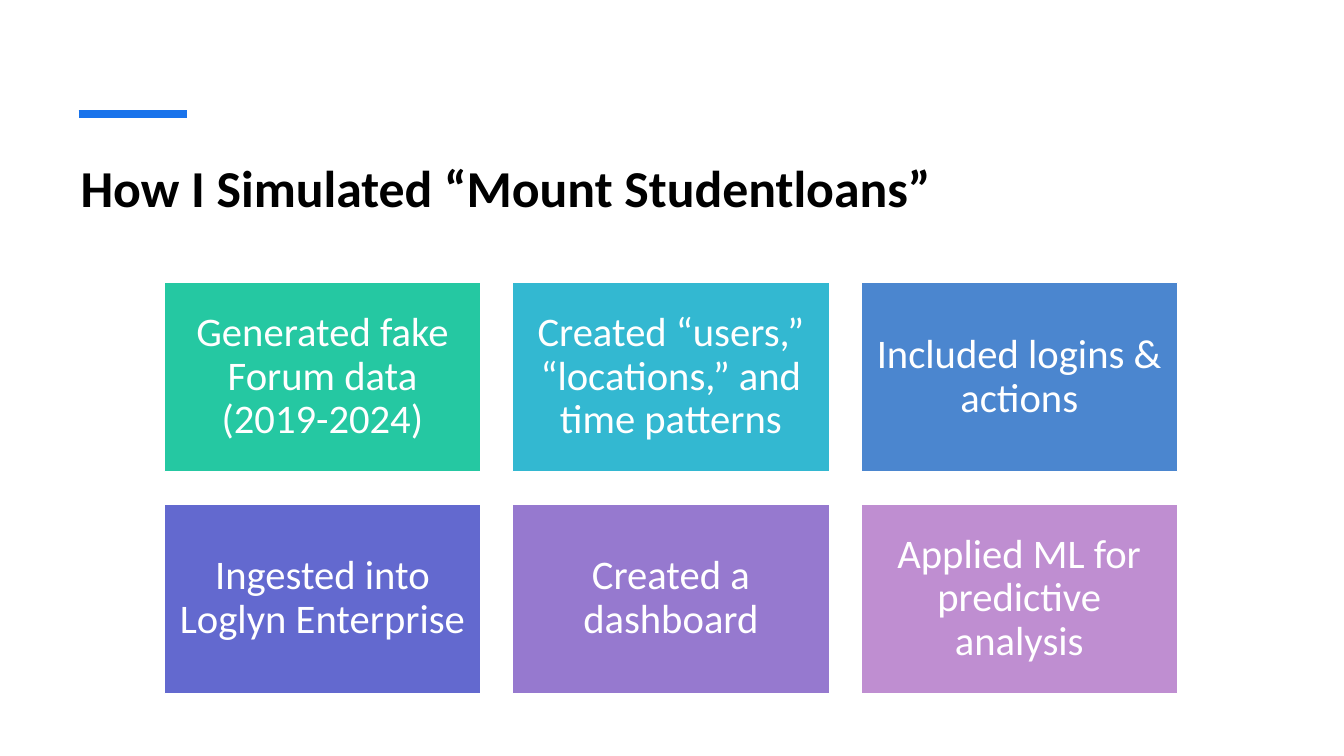
from dataclasses import dataclass

from pptx import Presentation
from pptx.dml.color import RGBColor as RGB
from pptx.enum.shapes import MSO_CONNECTOR as CONN, MSO_SHAPE as SHAPE
from pptx.enum.text import MSO_ANCHOR as ANCHOR, PP_ALIGN as ALIGN
from pptx.oxml.ns import qn
from pptx.slide import Slide
from pptx.text.text import TextFrame
from pptx.util import Inches, Pt
from lxml.etree import SubElement


@dataclass(frozen=True)
class Theme:
    font: str = "Calibri"
    ink: str = "000000"
    white: str = "FFFFFF"
    accent: str = "1973EB"
    title_size: int = 37
    tile_size: int = 29


@dataclass(frozen=True)
class Grid:
    """Tile grid in inches; pitch is the step from one tile to the next."""
    left: float = 1.63
    top: float = 2.8
    width: float = 3.14
    height: float = 1.88
    col_pitch: float = 3.455
    row_pitch: float = 2.2
    columns: int = 3


@dataclass(frozen=True)
class Step:
    text: str
    fill: str


THEME = Theme()
GRID = Grid()
STEPS = [
    Step("Generated fake Forum data\v(2019-2024)", "25C8A2"),
    Step("Created “users,” “locations,” and time patterns", "33B8D1"),
    Step("Included logins & actions", "4B86CF"),
    Step("Ingested into Loglyn Enterprise", "6369CF"),
    Step("Created a dashboard", "9679CF"),
    Step("Applied ML for predictive analysis", "BF8ED1"),
]


def write(tf: TextFrame, text: str, *, size: int, color: str,
          bold: bool = False, align: ALIGN = ALIGN.LEFT,
          anchor: ANCHOR = ANCHOR.TOP, spacing: float = 1.0) -> None:
    tf.word_wrap = True
    tf.vertical_anchor = anchor
    p = tf.paragraphs[0]
    p.text = text
    p.alignment = align
    p.line_spacing = spacing
    for r in p.runs:
        r.font.name = THEME.font
        r.font.size = Pt(size)
        r.font.bold = bold
        r.font.color.rgb = RGB.from_string(color)


def add_title(s: Slide, text: str) -> None:
    box = s.shapes.add_textbox(Inches(0.7), Inches(1.5), Inches(11.91), Inches(1.2))
    write(box.text_frame, text, size=THEME.title_size, color=THEME.ink, bold=True)


def add_accent(s: Slide) -> None:
    y = Inches(1.13)
    line = s.shapes.add_connector(CONN.STRAIGHT, Inches(0.78), y, Inches(1.85), y)
    line.line.color.rgb = RGB.from_string(THEME.accent)
    line.line.width = Pt(6)
    SubElement(line._element.spPr, qn("a:effectLst"))


def add_tile(s: Slide, index: int, step: Step) -> None:
    row, col = divmod(index, GRID.columns)
    sp = s.shapes.add_shape(
        SHAPE.RECTANGLE,
        Inches(GRID.left + col * GRID.col_pitch),
        Inches(GRID.top + row * GRID.row_pitch),
        Inches(GRID.width), Inches(GRID.height))
    sp.shadow.inherit = False
    sp.fill.solid()
    sp.fill.fore_color.rgb = RGB.from_string(step.fill)
    sp.line.color.rgb = RGB.from_string(THEME.white)
    sp.line.width = Pt(1)
    tf = sp.text_frame
    tf.margin_left = tf.margin_right = tf.margin_top = tf.margin_bottom = Inches(0.12)
    write(tf, step.text, size=THEME.tile_size, color=THEME.white,
          align=ALIGN.CENTER, anchor=ANCHOR.MIDDLE, spacing=0.9)


def main() -> None:
    prs = Presentation()
    prs.slide_width, prs.slide_height = Inches(13.33), Inches(7.5)
    s = prs.slides.add_slide(prs.slide_layouts[6])

    # Heading
    add_title(s, "How I Simulated “Mount Studentloans”")
    add_accent(s)

    # Steps, row by row
    for index, step in enumerate(STEPS):
        add_tile(s, index, step)

    prs.save("out.pptx")


if __name__ == "__main__":
    main()
